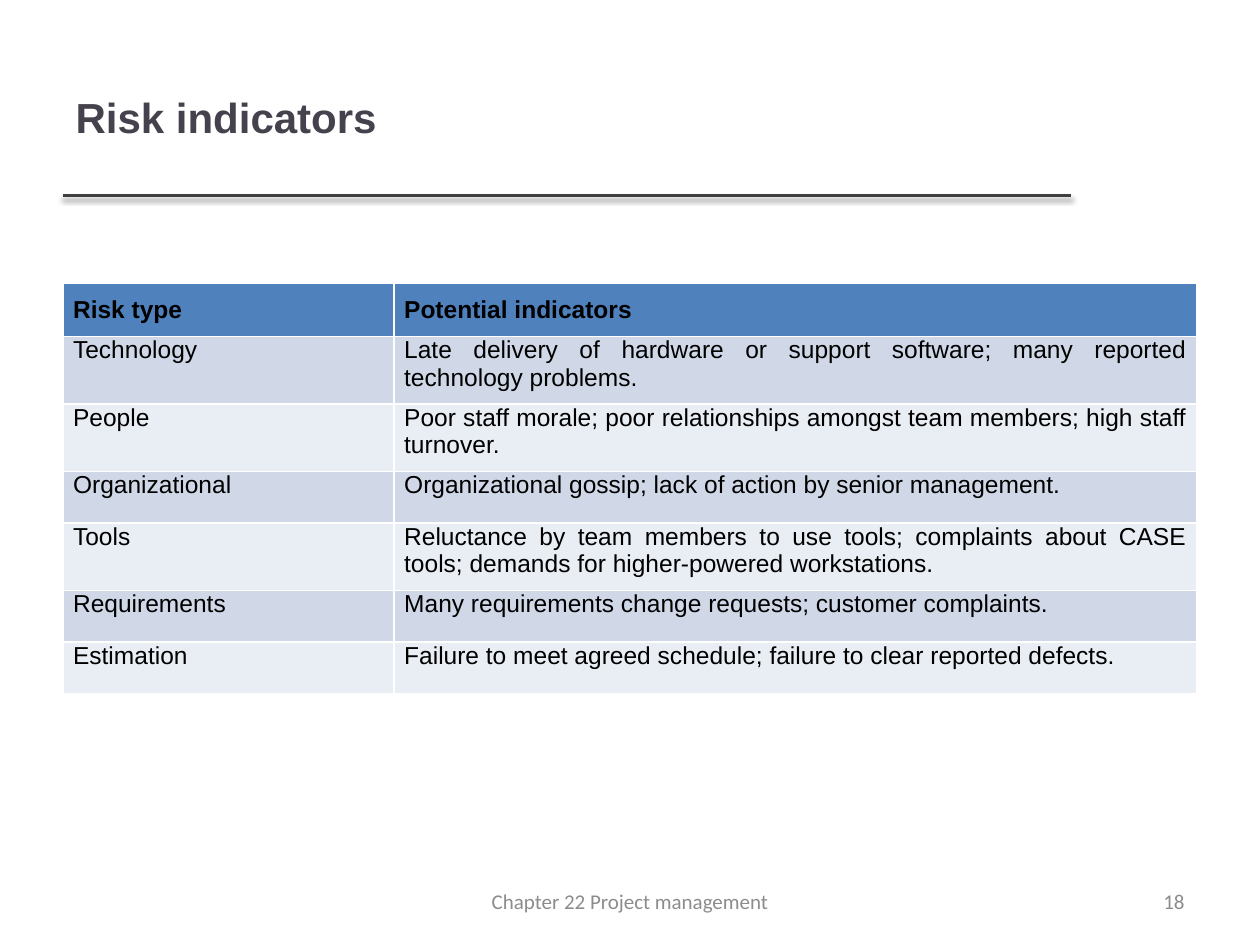
import pptx
import pptx.dml.color
import pptx.enum.shapes
import pptx.enum.text
import pptx.oxml
import pptx.oxml.ns
import pptx.util

ALIGN = pptx.enum.text.PP_ALIGN
ANCHOR = pptx.enum.text.MSO_ANCHOR
WIDTH, HEIGHT = pptx.util.Inches(10), pptx.util.Inches(7.5)
MARGIN = 0.05
HEADER_FILL, BAND_FILLS = "4F81BD", ("D0D8E8", "E9EDF4")
FOOTER = {"size": 12, "font": "Calibri", "color": "8C8C8C"}
RISKS = [
    ("Risk type", "Potential indicators"),
    ("Technology", "Late delivery of hardware or support software; many reported technology problems."),
    ("People", "Poor staff morale; poor relationships amongst team members; high staff turnover."),
    ("Organizational", "Organizational gossip; lack of action by senior management."),
    ("Tools", "Reluctance by team members to use tools; complaints about CASE tools; "
              "demands for higher-powered workstations."),
    ("Requirements", "Many requirements change requests; customer complaints."),
    ("Estimation", "Failure to meet agreed schedule; failure to clear reported defects."),
]


def rgb(value):
    return pptx.dml.color.RGBColor.from_string(value)


def area(left, top, width, height):
    return int(left * WIDTH), int(top * HEIGHT), int(width * WIDTH), int(height * HEIGHT)


def write(frame, text, size=14, font="Arial", color="000000", bold=False,
          align=ALIGN.LEFT, anchor=ANCHOR.MIDDLE):
    frame.word_wrap = True
    frame.vertical_anchor = anchor
    para = frame.paragraphs[0]
    para.alignment = align
    span = para.add_run()
    span.text = text
    span.font.size = pptx.util.Pt(size)
    span.font.name = font
    span.font.bold = bold
    span.font.color.rgb = rgb(color)


def add_heading(page, box, text):
    left, top, width, height = box
    title = page.shapes.title
    title.left, title.top, title.width, title.height = box
    write(title.text_frame, text, size=24, color="46424D", bold=True)
    rule = page.shapes.add_connector(
        pptx.enum.shapes.MSO_CONNECTOR.STRAIGHT, left, top + height, left + width, top + height)
    rule.line.color.rgb = rgb("404040")
    rule.line.width = pptx.util.Pt(2)
    rule._element.spPr.append(pptx.oxml.parse_xml(
        f'<a:effectLst {pptx.oxml.ns.nsdecls("a")}>'
        '<a:outerShdw blurRad="40000" dist="20000" dir="5400000" rotWithShape="0">'
        '<a:srgbClr val="000000"><a:alpha val="38000"/></a:srgbClr>'
        '</a:outerShdw></a:effectLst>'))


def add_risk_table(page, box, rows, first_share):
    table = page.shapes.add_table(len(rows), 2, *box).table
    table.columns[0].width = int(box[2] * first_share)
    table.columns[1].width = box[2] - table.columns[0].width
    for number, row in enumerate(rows):
        header = number == 0
        for column, text in enumerate(row):
            cell = table.cell(number, column)
            cell.margin_left = cell.margin_right = pptx.util.Inches(0.08)
            cell.margin_top = pptx.util.Inches(0.1 if header else 0)
            cell.margin_bottom = pptx.util.Inches(0.1)
            cell.fill.solid()
            cell.fill.fore_color.rgb = rgb(HEADER_FILL if header else BAND_FILLS[(number - 1) % 2])
            write(cell.text_frame, text, bold=header, align=ALIGN.JUSTIFY, anchor=ANCHOR.TOP)


def add_footer(page, box, chapter, number):
    left, top, width, height = box
    number_width = int(width * 0.26)
    chapter_width = int(width * 0.35)
    parts = [
        (chapter, left + (width - chapter_width) // 2, chapter_width, ALIGN.CENTER),
        (number, left + width - number_width, number_width, ALIGN.RIGHT),
    ]
    for text, start, span_width, align in parts:
        label = page.shapes.add_textbox(start, top, span_width, height)
        write(label.text_frame, text, align=align, **FOOTER)


def main():
    deck = pptx.Presentation()
    deck.slide_width, deck.slide_height = WIDTH, HEIGHT
    page = deck.slides.add_slide(deck.slide_layouts.get_by_name("Title Only"))
    content = 1 - 2 * MARGIN
    add_heading(page, area(MARGIN, 0.04, 0.8, 0.167), "Risk indicators")
    add_risk_table(page, area(MARGIN, 0.3, content, 0.38), RISKS, 0.292)
    add_footer(page, area(MARGIN, 0.927, content, 0.053), "Chapter 22 Project management", "18")
    deck.save("out.pptx")


if __name__ == "__main__":
    main()
